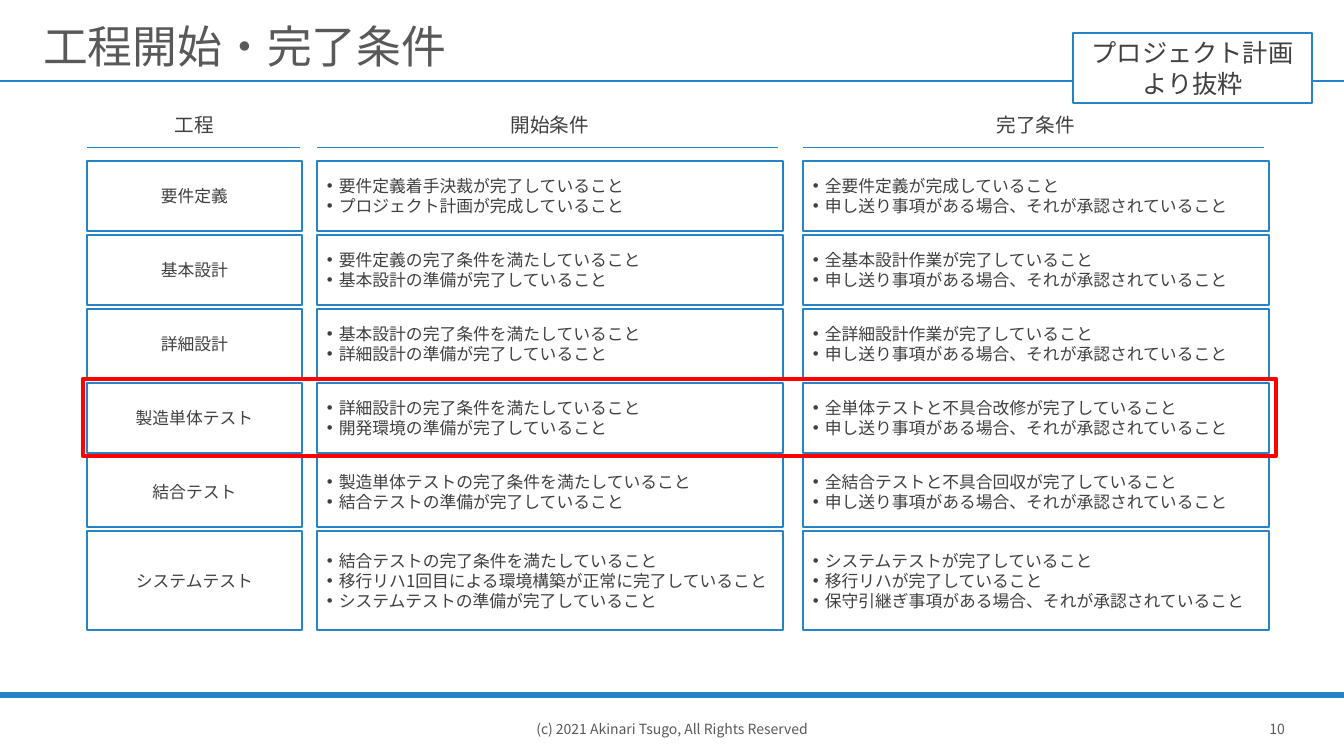
from lxml import etree
from pptx import Presentation
from pptx.dml.color import RGBColor
from pptx.enum.lang import MSO_LANGUAGE_ID as Lang
from pptx.enum.shapes import MSO_CONNECTOR as Connector, MSO_SHAPE as Shape
from pptx.enum.text import MSO_ANCHOR as Anchor, MSO_AUTO_SIZE as AutoSize, PP_ALIGN as Align
from pptx.oxml.ns import qn
from pptx.util import Emu, Pt

FONT = "Noto Sans CJK JP"
COLORS = {
    "blue": "2683C6",
    "red": "FF0000",
    "white": "FFFFFF",
    "heading": "595959",
    "body": "404040",
}
RGB = {name: RGBColor.from_string(value) for name, value in COLORS.items()}


def px(*lengths):
    """Convert lengths at 100.8 px per inch to EMU."""
    return [Emu(round(length * 914400 / 100.8)) for length in lengths]


def write(shape, text, size=12, color="body", align=Align.CENTER, anchor=Anchor.MIDDLE,
          wrap=True, bullets=False, spacing=None):
    """Fill a shape with one paragraph per line of text."""
    frame = shape.text_frame
    frame.text = text
    frame.auto_size = AutoSize.NONE
    frame.word_wrap = wrap
    frame.vertical_anchor = anchor
    for paragraph in frame.paragraphs:
        paragraph.alignment = Align.LEFT if bullets else align
        if spacing:
            paragraph.line_spacing = spacing
        if bullets:
            indent = px(12)[0]
            properties = paragraph._p.get_or_add_pPr()
            properties.set("marL", str(indent))
            properties.set("indent", str(-indent))
            etree.SubElement(properties, qn("a:buFont")).set("typeface", "Arial")
            etree.SubElement(properties, qn("a:buChar")).set("char", "•")
        for run in paragraph.runs:
            font = run.font
            font.size = Pt(size)
            font.name = FONT
            font.color.rgb = RGB[color]
            font.language_id = Lang.JAPANESE
            etree.SubElement(run._r.get_or_add_rPr(), qn("a:ea")).set("typeface", FONT)


HANDOVER = "申し送り事項がある場合、それが承認されていること"
PHASES = [
    ("要件定義",
     "要件定義着手決裁が完了していること\nプロジェクト計画が完成していること",
     f"全要件定義が完成していること\n{HANDOVER}"),
    ("基本設計",
     "要件定義の完了条件を満たしていること\n基本設計の準備が完了していること",
     f"全基本設計作業が完了していること\n{HANDOVER}"),
    ("詳細設計",
     "基本設計の完了条件を満たしていること\n詳細設計の準備が完了していること",
     f"全詳細設計作業が完了していること\n{HANDOVER}"),
    ("製造単体テスト",
     "詳細設計の完了条件を満たしていること\n開発環境の準備が完了していること",
     f"全単体テストと不具合改修が完了していること\n{HANDOVER}"),
    ("結合テスト",
     "製造単体テストの完了条件を満たしていること\n結合テストの準備が完了していること",
     f"全結合テストと不具合回収が完了していること\n{HANDOVER}"),
    ("システムテスト",
     "結合テストの完了条件を満たしていること\n"
     "移行リハ1回目による環境構築が正常に完了していること\n"
     "システムテストの準備が完了していること",
     "システムテストが完了していること\n移行リハが完了していること\n"
     "保守引継ぎ事項がある場合、それが承認されていること"),
]
# heading, left, card width, rule width
COLUMNS = [("工程", 87, 215, 213), ("開始条件", 317, 466, 461), ("完了条件", 803, 466, 461)]
ROW_TOP, ROW_PITCH, ROW_HEIGHT, LAST_ROW_HEIGHT = 161, 74, 70, 99

deck = Presentation()
deck.slide_width, deck.slide_height = px(1344, 756)
slide = deck.slides.add_slide(deck.slide_layouts[5])
shapes = slide.shapes

title = shapes.title
title.left, title.top, title.width, title.height = px(33, 6, 1277, 70)
write(title, "工程開始・完了条件", size=32, color="heading", align=Align.LEFT, spacing=0.9)
frame = title.text_frame
frame.margin_left, frame.margin_top, frame.margin_right, frame.margin_bottom = px(10, 20, 10, 5)

# Rules: left, right, y, weight
rules = [(0, 1344, 81, 1), (0, 1344, 695, 4.5)]
rules += [(left, left + length, 147, 0.5) for _, left, _, length in COLUMNS]
for left, right, y, weight in rules:
    rule = shapes.add_connector(Connector.STRAIGHT, *px(left, y, right, y))
    rule.line.color.rgb = RGB["blue"]
    rule.line.width = Pt(weight)
    etree.SubElement(rule._element.spPr, qn("a:effectLst"))

# Labels: text, bounds, format
footer = dict(size=10, color="heading", wrap=False)
labels = [
    ("10", (1244, 701, 66, 55), footer),
    ("(c) 2021 Akinari Tsugo, All Rights Reserved", (466, 701, 412, 55), footer),
]
labels += [(heading, (left, 108, width, 34), dict(size=14, anchor=Anchor.TOP))
           for heading, left, width, _ in COLUMNS]
for text, bounds, style in labels:
    write(shapes.add_textbox(*px(*bounds)), text, **style)

# Boxes: text, bounds, format; the one without text is the highlight frame
boxes = []
for row, phase in enumerate(PHASES):
    height = LAST_ROW_HEIGHT if row == len(PHASES) - 1 else ROW_HEIGHT
    for column, (text, (_, left, width, _)) in enumerate(zip(phase, COLUMNS)):
        bounds = (left, ROW_TOP + row * ROW_PITCH, width, height)
        boxes.append((text, bounds, dict(bullets=column > 0)))
boxes.append(("", (83, 379, 1193, 77), {}))
boxes.append(("プロジェクト計画より抜粋", (1073, 33, 239, 70), dict(size=18)))

for text, bounds, style in boxes:
    box = shapes.add_shape(Shape.RECTANGLE, *px(*bounds))
    box.shadow.inherit = False
    box.line.color.rgb = RGB["blue" if text else "red"]
    box.line.width = Pt(1 if text else 3)
    if text:
        box.fill.solid()
        box.fill.fore_color.rgb = RGB["white"]
        write(box, text, **style)
    else:
        box.fill.background()

deck.save("out.pptx")
